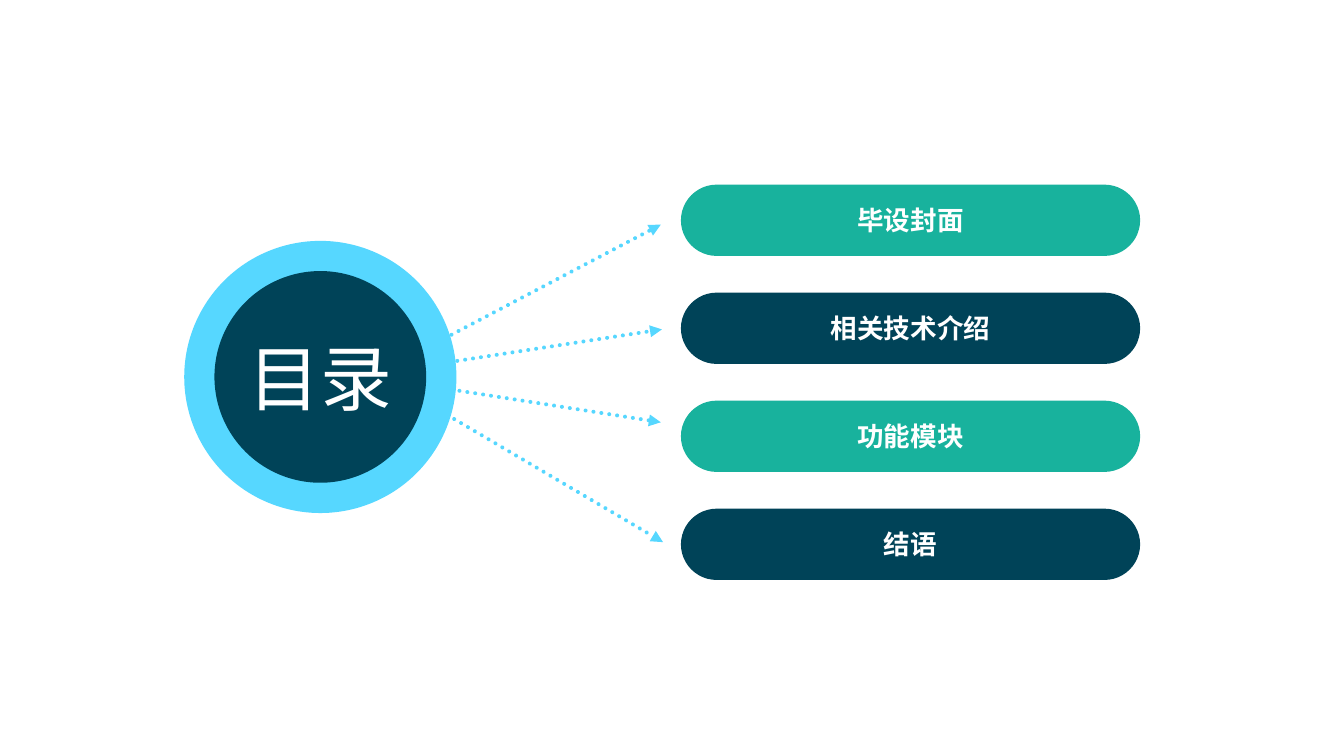
from lxml.etree import SubElement
from pptx import Presentation
from pptx.dml.color import RGBColor
from pptx.enum.dml import MSO_LINE
from pptx.enum.shapes import MSO_CONNECTOR, MSO_SHAPE
from pptx.enum.text import MSO_ANCHOR, MSO_AUTO_SIZE, PP_ALIGN
from pptx.oxml.ns import qn
from pptx.util import Inches, Pt

NAVY, TEAL, SKY, WHITE = "004358", "18B29D", "56D7FF", "FFFFFF"
COLUMNS, ROWS = 12, 7


def colour(hex_code):
    return RGBColor.from_string(hex_code)


class Agenda:
    """Style and current slide; places are in grid columns and rows."""

    frame_format = dict(
        margin_left=0, margin_right=0, margin_top=0, margin_bottom=0,
        word_wrap=True, auto_size=MSO_AUTO_SIZE.NONE,
        vertical_anchor=MSO_ANCHOR.MIDDLE,
    )

    def __init__(self, deck):
        self.slide = deck.slides.add_slide(deck.slide_layouts[5])
        self.shapes = self.slide.shapes
        self.column = deck.slide_width / COLUMNS
        self.row = deck.slide_height / ROWS

    def x(self, columns):
        return round(columns * self.column)

    def y(self, rows):
        return round(rows * self.row)

    def label(self, holder, text, size, bold):
        frame = holder.text_frame
        for name, value in self.frame_format.items():
            setattr(frame, name, value)
        frame.text = text
        line = frame.paragraphs[0]
        line.alignment = PP_ALIGN.CENTER
        font_format = dict(name="Arial", size=Pt(size), bold=bold)
        for name, value in font_format.items():
            setattr(line.runs[0].font, name, value)
        line.runs[0].font.color.rgb = colour(WHITE)

    def solid(self, preset, box, fill):
        body = self.shapes.add_shape(preset, *box)
        body.shadow.inherit = False
        body.fill.solid()
        body.fill.fore_color.rgb = colour(fill)
        body.line.fill.background()
        return body

    def pill(self, text, left, top, width, height, fill):
        box = self.x(left), self.y(top), self.x(width), self.y(height)
        body = self.solid(MSO_SHAPE.ROUNDED_RECTANGLE, box, fill)
        body.adjustments[0] = 0.5
        self.label(body, text, size=20, bold=True)

    def circle_box(self, centre, diameter):
        side = self.y(diameter)
        column, row = centre
        return self.x(column) - side // 2, self.y(row) - side // 2, side, side

    def circle(self, centre, diameter, fill):
        self.solid(MSO_SHAPE.OVAL, self.circle_box(centre, diameter), fill)

    def title(self, text, centre, diameter):
        heading = self.shapes.title
        box = self.circle_box(centre, diameter)
        for name, value in zip(("left", "top", "width", "height"), box):
            setattr(heading, name, value)
        self.label(heading, text, size=54, bold=False)
        # Bring the heading in front of the circles
        heading.element.getparent().append(heading.element)

    def arrow(self, start, end):
        link = self.shapes.add_connector(
            MSO_CONNECTOR.STRAIGHT,
            self.x(start[0]), self.y(start[1]), self.x(end[0]), self.y(end[1]))
        link.line.color.rgb = colour(SKY)
        link.line.width = Pt(3)
        link.line.dash_style = MSO_LINE.ROUND_DOT
        properties = link.element.spPr
        stroke = properties.find(qn("a:ln"))
        stroke.set("cap", "rnd")
        SubElement(stroke, qn("a:tailEnd")).set("type", "triangle")
        SubElement(properties, qn("a:effectLst"))


def main():
    deck = Presentation()
    deck.slide_width, deck.slide_height = Inches(14.06), Inches(7.91)
    agenda = Agenda(deck)

    # Dotted arrows from the hub to the chapters
    arrows = [
        ((3.59, 3.34), (5.90, 2.08)),
        ((3.59, 3.42), (5.91, 3.05)),
        ((3.68, 3.55), (5.90, 3.91)),
        ((3.81, 3.73), (5.92, 5.02)),
    ]
    for start, end in arrows:
        agenda.arrow(start, end)

    # Chapters, one per grid row, in alternating colours
    chapters = ["毕设封面", "相关技术介绍", "功能模块", "结语"]
    for index, chapter in enumerate(chapters):
        agenda.pill(chapter, left=6.08, top=1.71 + index, width=4.1,
                    height=0.66, fill=(TEAL, NAVY)[index % 2])

    # Hub with the heading
    hub, ring, disc = (2.86, 3.49), 2.52, 1.96
    agenda.circle(hub, ring, SKY)
    agenda.circle(hub, disc, NAVY)
    agenda.title("目录", hub, disc)

    deck.save("out.pptx")


if __name__ == "__main__":
    main()
